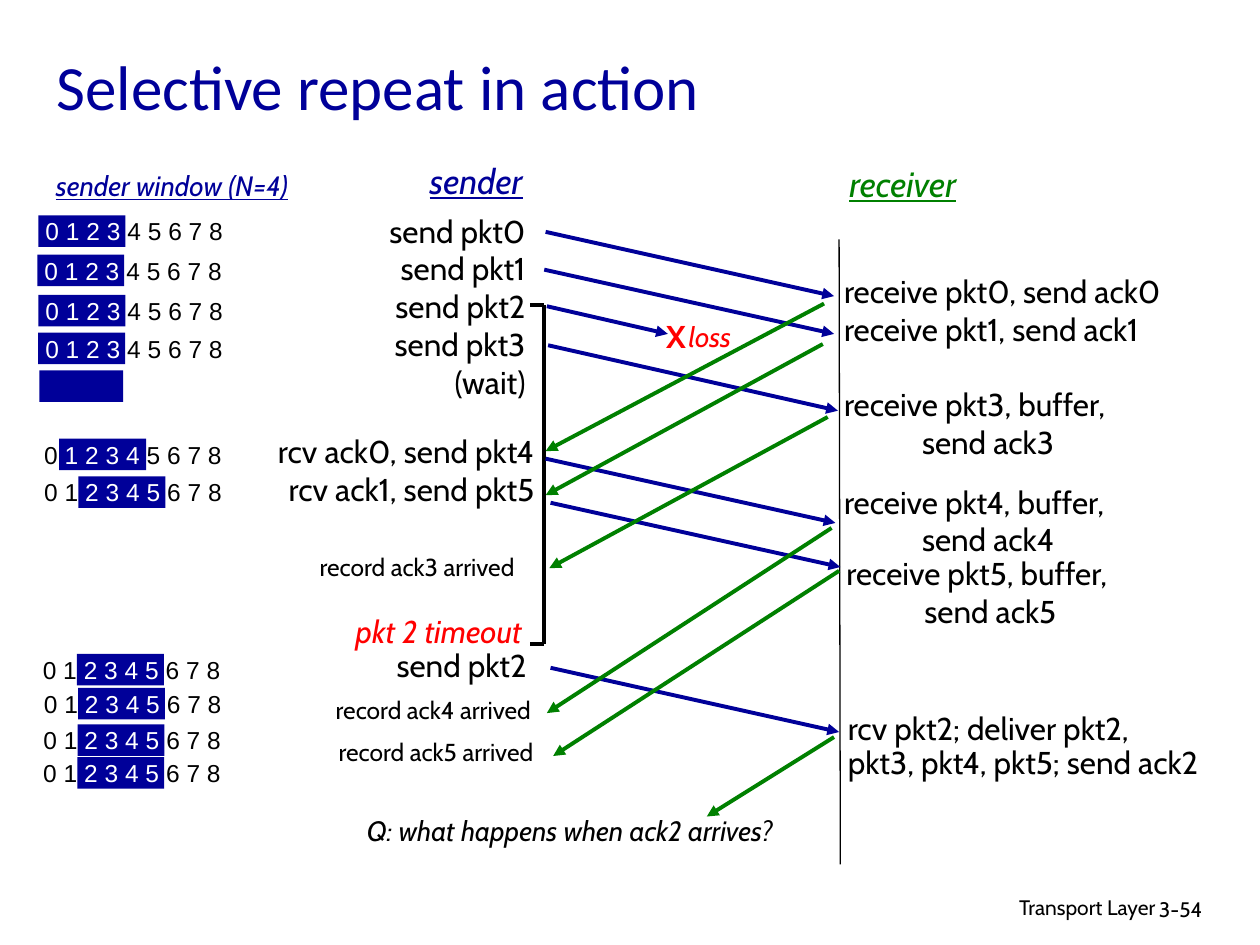
from lxml.etree import SubElement
from pptx import Presentation
from pptx.dml.color import RGBColor
from pptx.enum.shapes import MSO_CONNECTOR, MSO_SHAPE
from pptx.enum.text import MSO_ANCHOR, MSO_AUTO_SIZE, PP_ALIGN
from pptx.oxml.ns import qn
from pptx.util import Pt

COLORS = {"navy": "000099", "green": "008000", "red": "FF0000",
          "black": "000000", "white": "FFFFFF"}
L, C, R = PP_ALIGN.LEFT, PP_ALIGN.CENTER, PP_ALIGN.RIGHT
LINE_PITCH = 21.6
REPLY_INDENT = 44.6

TITLE = ("Selective repeat in action", (25.2, 15.8, 612, 66.2))
FOOTERS = [
    ("Transport Layer", (439.2, 507.6, 228.2, 22.3), R),
    ("3-54", (655.2, 509, 53.3, 21.6), L),
]
HEADINGS = [
    ("sender window (N=4)", (13.7, 92.9, 169.2, 26.6), 16, "navy"),
    ("sender", (235.4, 87.8, 73.4, 31), 20, "navy"),
    ("receiver", (473.8, 89.3, 84.2, 31), 20, "green"),
]
SENDER_EVENTS = [
    (["send pkt0", "send pkt1", "send pkt2", "send pkt3", "(wait)"],
     (209.5, 117.4, 97.9, 115.2), 1),
    (["rcv ack0, send pkt4", "rcv ack1, send pkt5"],
     (142.6, 243.4, 169.9, 72), 1),
    (["send pkt2"], (210.2, 367.9, 97.9, 26.6), 0.9),
]
RECEIVER_EVENTS = [
    (["receive pkt0, send ack0", "receive pkt1, send ack1",
      "receive pkt3, buffer,", "send ack3"], (475.2, 151.9, 202.3, 115.2), 1),
    (["receive pkt4, buffer,", "send ack4"], (475.2, 272.2, 181.4, 50.4), 1),
    (["receive pkt5, buffer,", "send ack5"], (476.6, 313.2, 181.4, 50.4), 1),
    (["rcv pkt2; deliver pkt2,", "pkt3, pkt4, pkt5; send ack2"],
     (477.4, 403.9, 233.3, 46.1), 0.9),
]
RECORDS = [("record ack3 arrived", 171.4, 311.8),
           ("record ack4 arrived", 180.7, 393.8),
           ("record ack5 arrived", 182.2, 417.6)]
TIMEOUT = ("pkt 2 timeout", (184.3, 351.4, 121, 23.8))
LOST = ("X", (373, 177.8, 26.6, 28.8))
LOSS = ("loss", (385.2, 179.3, 41, 26.6))
QUESTION = ("Q: what happens when ack2 arrives?", (187.9, 461.5, 275.8, 26.6))

WINDOW_SIZE = 4
WINDOW_OFFSETS = [4.6, 17.2, 28.2]
WINDOWS = [
    (0, 17.3, 120.2), (0, 16.7, 142.6), (0, 17.3, 165.6), (0, 17.2, 187.2),
    (1, 16.6, 247.7), (2, 16.6, 269.3),
    (2, 15.8, 370.8), (2, 16.4, 390.2), (2, 16.1, 411), (2, 16, 429.8),
]
EMPTY_WINDOW = (22.6, 211.7, 47.8, 18)

PACKETS = [
    (311.8, 132.5, 476.6, 169.2), (311, 154.1, 476.6, 190.8),
    (312.5, 175, 381.6, 190.8), (313.2, 197.3, 478.8, 234.7),
    (311.8, 262.1, 477.4, 298.8), (314.6, 287.3, 480.2, 324),
    (314.6, 381.6, 479.5, 418.3),
]
ACKS = [
    (470.9, 173.5, 311.8, 257.8), (470.2, 196.6, 311.8, 283),
    (473, 238.3, 313.9, 324.7), (475.2, 301.7, 312.5, 407.5),
    (479.5, 326.2, 316.1, 432), (476.6, 421.2, 403.9, 466.6),
]
RECEIVER_AXIS = (479.5, 136.8, 480.2, 493.9)
TIMER_X, TIMER_TICK_X, TIMER_TOP, TIMER_BOTTOM = 311, 303.1, 174.2, 367.9


def rgb(name):
    return RGBColor.from_string(COLORS[name])


def style(font, size, color, name="Cabin", **flags):
    font.size, font.name = Pt(size), name
    font.color.rgb = rgb(color)
    for flag, value in flags.items():
        setattr(font, flag, value)


def add_text(s, lines, box, size, color="black", align=L, spacing=1,
             wrap=False, name="Cabin", **flags):
    sp = s.shapes.add_textbox(*map(Pt, box))
    tf = sp.text_frame
    tf.word_wrap = wrap
    tf.auto_size = MSO_AUTO_SIZE.NONE if wrap else MSO_AUTO_SIZE.SHAPE_TO_FIT_TEXT
    for i, line in enumerate(lines):
        p = tf.add_paragraph() if i else tf.paragraphs[0]
        p.text = line
        p.alignment = align
        if spacing != 1:
            p.line_spacing = spacing
        if align == L and line.startswith("send ack"):
            p._p.get_or_add_pPr().set("marL", str(Pt(REPLY_INDENT)))
        if i and line.startswith("receive pkt3"):
            p.space_before = Pt(LINE_PITCH)
        style(p.font, size, color, name, **flags)
    return tf


def add_line(s, ends, color, width=2.25, arrow=False):
    cn = s.shapes.add_connector(MSO_CONNECTOR.STRAIGHT, *map(Pt, ends))
    cn.line.color.rgb = rgb(color)
    cn.line.width = Pt(width)
    if arrow:
        SubElement(cn.line._get_or_add_ln(), qn("a:tailEnd"), type="triangle")
    SubElement(cn._element.spPr, qn("a:effectLst"))


def add_block(s, box):
    sp = s.shapes.add_shape(MSO_SHAPE.RECTANGLE, *map(Pt, box))
    sp.shadow.inherit = False
    sp.fill.solid()
    sp.fill.fore_color.rgb = rgb("navy")
    sp.line.fill.background()


def add_window(s, start, left, top):
    add_block(s, (left + WINDOW_OFFSETS[start], top + 2.9, 49.7, 18))
    end = start + WINDOW_SIZE
    tf = add_text(s, [""], (left, top, 118.8, 23.8), 14, align=C, name="Arial")
    p = tf.paragraphs[0]
    for first, last, color in [(0, start, "black"), (start, end, "white"),
                               (end, 9, "black")]:
        if first < last:
            r = p.add_run()
            digits = " ".join(map(str, range(first, last)))
            r.text = digits if last == 9 else digits + " "
            style(r.font, 14, color, "Arial")


def main():
    prs = Presentation()
    prs.slide_width, prs.slide_height = Pt(720), Pt(540)
    s = prs.slides.add_slide(prs.slide_layouts[6])

    title, box = TITLE
    tf = add_text(s, [title], box, 36, "navy", wrap=True, name="Calibri")
    tf.vertical_anchor = MSO_ANCHOR.MIDDLE
    for text, box, align in FOOTERS:
        add_text(s, [text], box, 12, align=align, wrap=True)
    for text, box, size, color in HEADINGS:
        add_text(s, [text], box, size, color, C, italic=True, underline=True)

    add_line(s, RECEIVER_AXIS, "black", 0.75)
    for events, align in [(SENDER_EVENTS, R), (RECEIVER_EVENTS, L)]:
        for lines, box, spacing in events:
            add_text(s, lines, box, 18, align=align, spacing=spacing)
    for text, left, top in RECORDS:
        add_text(s, [text], (left, top, 133.9, 23.8), 14, align=C)
    for row in WINDOWS:
        add_window(s, *row)
    add_block(s, EMPTY_WINDOW)

    add_line(s, (TIMER_X, TIMER_TOP, TIMER_X, TIMER_BOTTOM), "black")
    for y in (TIMER_TOP, TIMER_BOTTOM):
        add_line(s, (TIMER_X, y, TIMER_TICK_X, y), "black")
    for arrows, color in [(PACKETS, "navy"), (ACKS, "green")]:
        for ends in arrows:
            add_line(s, ends, color, arrow=True)

    add_text(s, [TIMEOUT[0]], TIMEOUT[1], 18, "red", R, 0.75, italic=True)
    add_text(s, [LOST[0]], LOST[1], 18, "red", C, bold=True)
    add_text(s, [LOSS[0]], LOSS[1], 16, "red", C, italic=True)
    add_text(s, [QUESTION[0]], QUESTION[1], 16, align=C, italic=True)
    prs.save("out.pptx")


if __name__ == "__main__":
    main()
